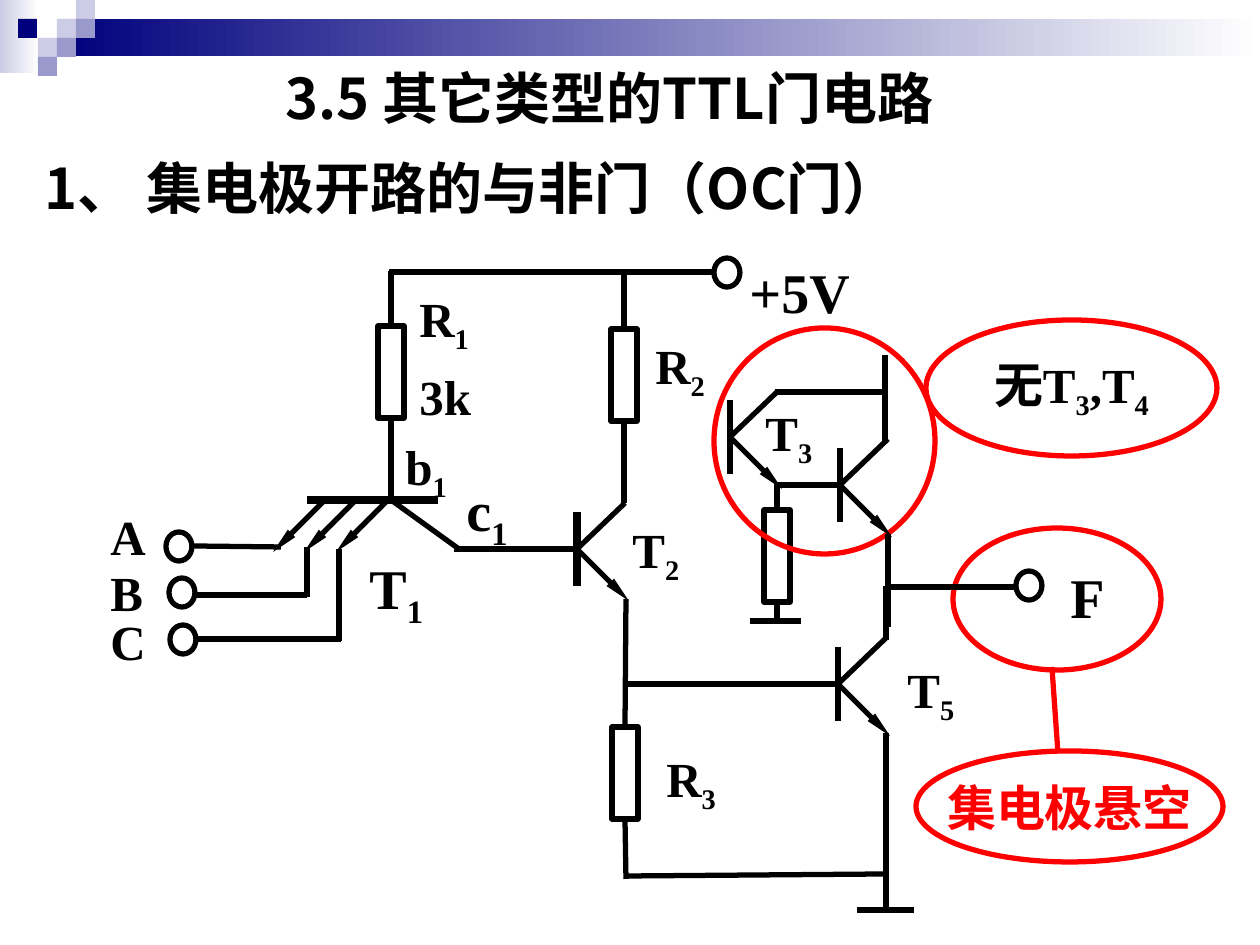
from lxml import etree
from pptx import Presentation
from pptx.dml.color import RGBColor as Rgb
from pptx.enum.shapes import MSO_CONNECTOR as Conn, MSO_SHAPE as Kind
from pptx.enum.text import MSO_ANCHOR as Anchor, MSO_AUTO_SIZE as Auto, PP_ALIGN as Align
from pptx.oxml.ns import qn
from pptx.util import Pt

PX = 914400 / 126
THEME = {
    "ink": Rgb(0, 0, 0), "red": Rgb(255, 0, 0), "white": Rgb(255, 255, 255),
    "navy": Rgb(0, 0, 0x7D), "mid": Rgb(0x99, 0x99, 0xCC), "pale": Rgb(0xCC, 0xCC, 0xE6),
    "head": 32, "label": 28, "line": 3, "thick": 4.5,
    "han": "Noto Sans CJK SC", "latin": "Times New Roman",
}
INK, RED = THEME["ink"], THEME["red"]
HEAD, LABEL = THEME["head"], THEME["label"]

deck = Presentation()
deck.slide_width, deck.slide_height = int(1260 * PX), int(945 * PX)
slide = deck.slides.add_slide(deck.slide_layouts[6])
shapes = slide.shapes


def wire(x1, y1, x2, y2, color=INK, width=THEME["line"], arrow=False):
    line = shapes.add_connector(Conn.STRAIGHT, *[int(v * PX) for v in (x1, y1, x2, y2)])
    line.line.color.rgb, line.line.width = color, Pt(width)
    props = line._element.spPr
    if arrow:
        etree.SubElement(props.find(qn("a:ln")), qn("a:tailEnd"),
                         type="triangle", w="sm", len="lg")
    etree.SubElement(props, qn("a:effectLst"))
    return line


def write(shape, words, size, face=THEME["latin"], color=INK, **frame):
    """Fill a shape with text; parts between underscores are subscripts."""
    for key, value in frame.items():
        setattr(shape.text_frame, key, value)
    para = shape.text_frame.paragraphs[0]
    for i, part in enumerate(words.split("_")):
        if not part:
            continue
        run = para.add_run()
        run.text = part
        for key, value in {"name": face, "size": Pt(size), "bold": True}.items():
            setattr(run.font, key, value)
        run.font.color.rgb = color
        props = run._r.get_or_add_rPr()
        etree.SubElement(props, qn("a:ea"), typeface=THEME["han"])
        if i % 2:
            props.set("baseline", "-25000")
    return para


# Top band: two fades, then the mosaic squares
for box, tone in [((0, 0, 39, 73), "pale"), ((57, 19, 1203, 37), "navy"),
                  ((57, 19, 19, 19), "pale"), ((76, 0, 19, 19), "pale"),
                  ((76, 19, 19, 19), "mid"), ((38, 38, 19, 19), "pale"),
                  ((18, 19, 19, 19), "navy"), ((57, 38, 19, 19), "mid"),
                  ((38, 57, 19, 19), "mid")]:
    tile = shapes.add_shape(Kind.RECTANGLE, *[int(v * PX) for v in box])
    tile.shadow.inherit = False
    tile.line.fill.background()
    if box[2] == 19:
        tile.fill.solid()
        tile.fill.fore_color.rgb = THEME[tone]
    else:
        tile.fill.gradient()
        tile.fill.gradient_angle = 180
        for stop, shade in zip(tile.fill.gradient_stops, ("white", tone)):
            stop.color.rgb = THEME[shade]

# Resistors, open terminals and red rings
parts = {}
for kind, color, spots in [
    (Kind.RECTANGLE, INK, {"R1": (378, 326, 26, 92), "R2": (611, 329, 26, 92),
                           "R3": (612, 727, 26, 92), "R4": (764, 510, 26, 92)}),
    (Kind.OVAL, INK, {"+5V": (714, 258, 26, 29), "F": (1016, 571, 26, 29),
                      "A": (166, 532, 26, 29), "B": (169, 578, 26, 29),
                      "C": (170, 625, 26, 29)}),
    (Kind.OVAL, RED, {"out": (953, 528, 208, 142), "open": (916, 751, 307, 111),
                      "pair": (714, 328, 221, 226), "none": (926, 320, 291, 136)}),
]:
    for name, box in spots.items():
        part = shapes.add_shape(kind, *[int(v * PX) for v in box])
        part.shadow.inherit = False
        part.fill.background()
        part.line.color.rgb, part.line.width = color, Pt(THEME["line"])
        parts[name] = part

# Leads into each resistor: name, x, top y, bottom y
for name, x, top, low in [("R1", 391, 271, 500), ("R2", 624, 271, 503),
                          ("R3", 626, 599, 879), ("R4", 777, 482, 622)]:
    for y, side in ((top, 0), (low, 2)):
        wire(x, y, x, y).end_connect(parts[name], side)

# Transistors T2 to T5: base bar, emitter, collector
for x, y, width in [(577, 549, THEME["thick"]), (838, 684, THEME["line"]),
                    (730, 437, THEME["line"]), (840, 485, THEME["line"])]:
    wire(x, y - 37, x, y + 37, width=width)
    wire(x, y, x + 52, y + 52, arrow=True)
    wire(x, y, x + 48, y - 46)

# T1 with three emitters
wire(307, 500, 438, 500, width=THEME["thick"])
for x in (325, 356, 388):
    wire(x, 500, x - 52, 552, arrow=True)
wire(391, 500, 459, 549)

# Plain wires
for ends in [
    (389, 272, 716, 272), (454, 549, 577, 549), (625, 684, 838, 684),   # supply, bases
    (626, 876, 886, 874), (886, 733, 886, 911), (857, 910, 914, 910),   # ground
    (886, 587, 1017, 587), (886, 586, 886, 640), (888, 534, 888, 627),  # output
    (281, 547, 193, 546), (307, 547, 307, 597), (307, 595, 195, 595),   # inputs A, B
    (339, 549, 339, 641), (341, 639, 198, 639),                         # input C
    (775, 485, 840, 485), (775, 392, 885, 392), (885, 442, 885, 355),   # T3, T4
    (750, 621, 801, 621),
]:
    wire(*ends)
wire(1052, 667, 1058, 753, RED)

# Headings and labels
for words, x, y, w, h, size, face in [
    ("3.5 其它类型的TTL门电路", 273, 57, 848, 81, HEAD, "han"),
    ("1、 集电极开路的与非门（OC门）", 32, 147, 1008, 81, HEAD, "han"),
    ("+5V", 737, 251, 173, 81, HEAD, "latin"),
    ("F", 1058, 556, 102, 81, HEAD, "latin"),
    ("T_1", 357, 547, 100, 89, HEAD, "latin"),
    ("c_1", 454, 469, 139, 89, HEAD, "latin"),
    ("R_1", 407, 282, 145, 79, LABEL, "latin"),
    ("3k", 407, 360, 170, 72, LABEL, "latin"),
    ("R_2", 643, 329, 145, 79, LABEL, "latin"),
    ("R_3", 654, 742, 141, 79, LABEL, "latin"),
    ("T_2", 620, 513, 84, 79, LABEL, "latin"),
    ("T_3", 753, 396, 136, 79, LABEL, "latin"),
    ("T_5", 895, 653, 92, 79, LABEL, "latin"),
    ("b_1", 393, 430, 110, 79, LABEL, "latin"),
    ("A", 98, 500, 97, 72, LABEL, "latin"),
    ("B", 98, 556, 97, 72, LABEL, "latin"),
    ("C", 98, 605, 97, 72, LABEL, "latin"),
]:
    box = shapes.add_textbox(*[int(v * PX) for v in (x, y, w, h)])
    write(box, words, size, THEME[face], word_wrap=True, auto_size=Auto.SHAPE_TO_FIT_TEXT)

# Words inside the red rings
for name, words, color in [("open", "集电极悬空", RED), ("none", "无T_3_,T_4", INK)]:
    para = write(parts[name], words, LABEL, color=color,
                 word_wrap=False, vertical_anchor=Anchor.MIDDLE)
    para.alignment = Align.CENTER

deck.save("out.pptx")
